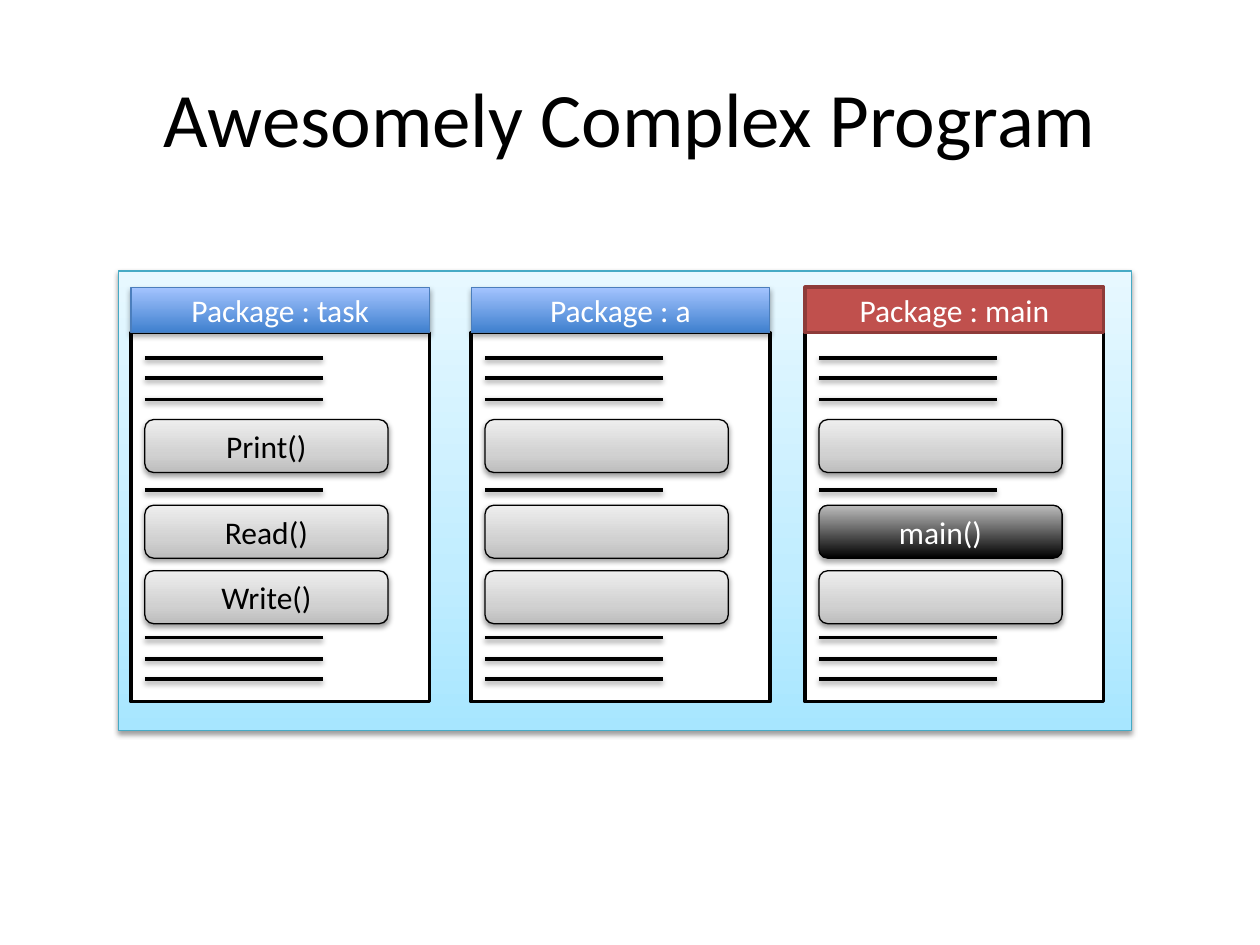
from lxml import etree
from pptx import Presentation
from pptx.dml.color import RGBColor
from pptx.enum.shapes import MSO_CONNECTOR, MSO_SHAPE
from pptx.enum.text import MSO_ANCHOR, PP_ALIGN
from pptx.oxml.ns import qn
from pptx.util import Inches, Pt

RECTANGLE, ROUNDED = MSO_SHAPE.RECTANGLE, MSO_SHAPE.ROUNDED_RECTANGLE
STRAIGHT = MSO_CONNECTOR.STRAIGHT
CENTER, MIDDLE = PP_ALIGN.CENTER, MSO_ANCHOR.MIDDLE

FONT = "Calibri"
BLACK = RGBColor(0x00, 0x00, 0x00)
WHITE = RGBColor(0xFF, 0xFF, 0xFF)
RED = RGBColor(0xC0, 0x50, 0x4D)
DARK_RED = RGBColor(0x8E, 0x3B, 0x39)
BLUE_LINE = RGBColor(0x4B, 0x7E, 0xBC)
AQUA_LINE = RGBColor(0x46, 0xAA, 0xC5)

# Gradients run from bottom to top: (position in percent, colour)
AQUA = [(0, RGBColor(0xA7, 0xE6, 0xFF)), (35, RGBColor(0xC1, 0xED, 0xFF)),
        (100, RGBColor(0xE7, 0xF8, 0xFF))]
GRAY = [(0, RGBColor(0xBD, 0xBD, 0xBD)), (35, RGBColor(0xD1, 0xD1, 0xD1)),
        (100, RGBColor(0xEE, 0xEE, 0xEE))]
BLUE = [(0, RGBColor(0x3F, 0x80, 0xCE)), (100, RGBColor(0xA4, 0xC4, 0xFF))]
DARK = [(0, BLACK), (100, RGBColor(0xBD, 0xBD, 0xBD))]

# Shadows: (opacity in percent, distance in points)
SOFT = (38, 1.6)
STRONG = (35, 1.8)

# Package layout: one column per package, the same rows in each
PACKAGE_WIDTH = 2.37
INDENT = 0.11
CODE_LINE_ROWS = [2.84, 3, 3.17, 3.89, 5.06, 5.23, 5.39]
FUNCTION_ROWS = [3.33, 4.01, 4.53]
PACKAGES = [
    (1.04, "task", ["Print()", "Read()", "Write()"]),
    (3.74, "a", ["", "", ""]),
    (6.39, "main", ["", "main()", ""]),
]


def add_color(parent, color, opacity=100):
    element = etree.SubElement(parent, qn("a:srgbClr"), val=str(color))
    if opacity < 100:
        etree.SubElement(element, qn("a:alpha"), val=str(opacity * 1000))


def set_gradient(shape, stops):
    shape.fill.gradient()
    shape.fill.gradient_angle = 90
    stop_list = shape._element.spPr.find(qn("a:gradFill")).find(qn("a:gsLst"))
    for stop in list(stop_list):
        stop_list.remove(stop)
    for position, color in stops:
        stop = etree.SubElement(stop_list, qn("a:gs"), pos=str(position * 1000))
        add_color(stop, color)


def set_shadow(shape, shadow):
    """Replace the theme shadow by the given one, or by none."""
    effects = etree.SubElement(shape._element.spPr, qn("a:effectLst"))
    if shadow:
        opacity, distance = shadow
        outer = etree.SubElement(
            effects, qn("a:outerShdw"), blurRad=str(Pt(3.1)),
            dist=str(Pt(distance)), dir="5400000", rotWithShape="0")
        add_color(outer, BLACK, opacity)


def add_box(shapes, kind, left, top, width, height, fill, line_color,
            line_width=0.75, shadow=None, text="", text_color=BLACK):
    box = shapes.add_shape(kind, Inches(left), Inches(top),
                           Inches(width), Inches(height))
    if isinstance(fill, list):
        set_gradient(box, fill)
    else:
        box.fill.solid()
        box.fill.fore_color.rgb = fill
    box.line.color.rgb = line_color
    box.line.width = Pt(line_width)
    set_shadow(box, shadow)
    if text:
        box.text_frame.text = text
        box.text_frame.vertical_anchor = MIDDLE
        paragraph = box.text_frame.paragraphs[0]
        paragraph.alignment = CENTER
        paragraph.font.name = FONT
        paragraph.font.size = Pt(18)
        paragraph.font.color.rgb = text_color


def add_code_line(shapes, left, top):
    line = shapes.add_connector(STRAIGHT, Inches(left), Inches(top),
                                Inches(left + 1.41), Inches(top))
    line.line.color.rgb = BLACK
    line.line.width = Pt(2)
    set_shadow(line, SOFT)


def add_package(slide, left, name, functions):
    shapes = slide.shapes.add_group_shape().shapes
    is_main = name == "main"

    # Body with its lines of code
    add_box(shapes, RECTANGLE, left, 2.64, PACKAGE_WIDTH, 2.93, WHITE, BLACK, 2)
    for top in CODE_LINE_ROWS:
        add_code_line(shapes, left + INDENT, top)

    # Functions, with the entry point in black
    for top, function in zip(FUNCTION_ROWS, functions):
        is_entry = function == "main()"
        add_box(shapes, ROUNDED, left + INDENT, top, 1.93, 0.42,
                DARK if is_entry else GRAY, BLACK,
                shadow=STRONG if is_entry else SOFT, text=function,
                text_color=WHITE if is_entry else BLACK)

    # Header, with the main package in red
    style = (RED, DARK_RED, 2, None) if is_main else (BLUE, BLUE_LINE, 0.75, STRONG)
    add_box(shapes, RECTANGLE, left, 2.28, PACKAGE_WIDTH, 0.36, *style,
            text=f"Package : {name}", text_color=WHITE)


def add_title(slide, text):
    title = slide.shapes.title
    title.left, title.top = Inches(0.5), Inches(0.3)
    title.width, title.height = Inches(9), Inches(1.25)
    title.text_frame.text = text
    title.text_frame.vertical_anchor = MIDDLE
    paragraph = title.text_frame.paragraphs[0]
    paragraph.alignment = CENTER
    paragraph.font.name = FONT
    paragraph.font.size = Pt(44)
    paragraph.font.color.rgb = BLACK


def main():
    presentation = Presentation()
    presentation.slide_width = Inches(10)
    presentation.slide_height = Inches(7.5)
    slide = presentation.slides.add_slide(presentation.slide_layouts[5])

    add_title(slide, "Awesomely Complex Program")
    # Program that holds the packages
    add_box(slide.shapes, RECTANGLE, 0.94, 2.15, 8.04, 3.65, AQUA, AQUA_LINE,
            shadow=SOFT)
    for left, name, functions in PACKAGES:
        add_package(slide, left, name, functions)

    presentation.save("out.pptx")


if __name__ == "__main__":
    main()
